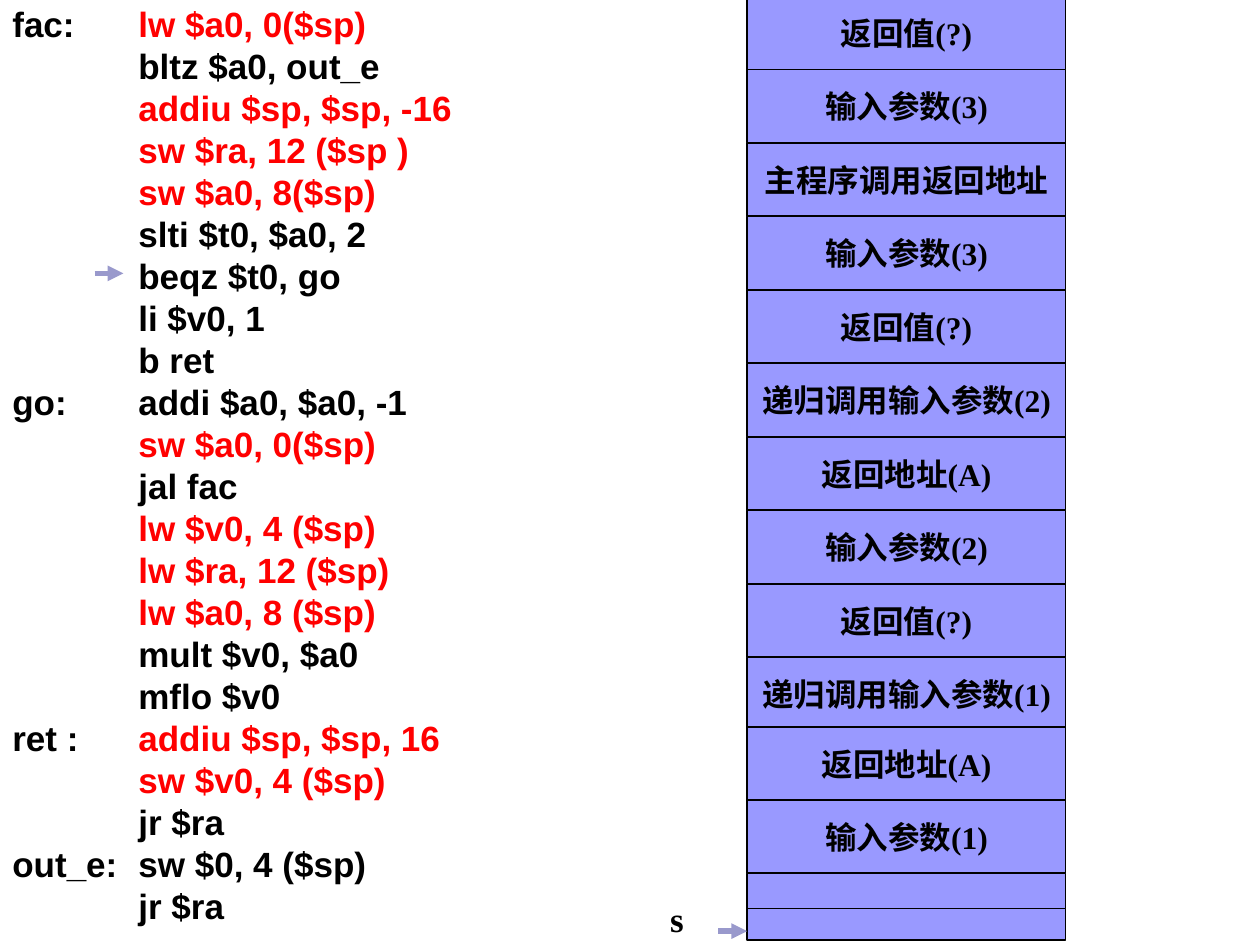
from dataclasses import dataclass

from lxml.etree import SubElement
from pptx import Presentation
from pptx.dml.color import RGBColor as RGB
from pptx.enum.shapes import MSO_CONNECTOR as Conn, MSO_SHAPE as Shape
from pptx.enum.text import MSO_ANCHOR as Anchor, PP_ALIGN as Align
from pptx.oxml.ns import qn
from pptx.util import Inches, Pt


@dataclass(frozen=True)
class Theme:
    ink: RGB = RGB(0, 0, 0)
    accent: RGB = RGB(255, 0, 0)
    cell: RGB = RGB(0x99, 0x99, 0xFF)
    arrow: RGB = RGB(0x99, 0x99, 0xCC)
    code_font: str = "Arial"
    stack_font: str = "Times New Roman"
    code_size: int = 20
    cell_size: int = 18
    leading: int = 24


@dataclass(frozen=True)
class Instr:
    text: str
    label: str = ""
    red: bool = False


@dataclass(frozen=True)
class Band:
    top: float
    pitch: float
    height: float
    labels: tuple[str, ...]


T = Theme()
STACK_LEFT, STACK_WIDTH = 5.93, 2.53
ARROW_LENGTH = 0.23
CODE_TAB = 1

CODE = [
    Instr("lw $a0, 0($sp)", "fac:", True),
    Instr("bltz $a0, out_e"),
    Instr("addiu $sp, $sp, -16", red=True),
    Instr("sw $ra, 12 ($sp )", red=True),
    Instr("sw $a0, 8($sp)", red=True),
    Instr("slti $t0, $a0, 2"),
    Instr("beqz $t0, go"),
    Instr("li $v0, 1"),
    Instr("b ret"),
    Instr("addi $a0, $a0, -1", "go:"),
    Instr("sw $a0, 0($sp)", red=True),
    Instr("jal fac"),
    Instr("lw $v0, 4 ($sp)", red=True),
    Instr("lw $ra, 12 ($sp)", red=True),
    Instr("lw $a0, 8 ($sp)", red=True),
    Instr("mult $v0, $a0"),
    Instr("mflo $v0"),
    Instr("addiu $sp, $sp, 16", "ret :", True),
    Instr("sw $v0, 4 ($sp)", red=True),
    Instr("jr $ra"),
    Instr("sw $0, 4 ($sp)", "out_e:"),
    Instr("jr $ra"),
]

STACK = [
    Band(-0.03, 0.583, 0.58, (
        "返回值(?)", "输入参数(3)", "主程序调用返回地址", "输入参数(3)",
        "返回值(?)", "递归调用输入参数(2)", "返回地址(A)", "输入参数(2)",
        "返回值(?)", "递归调用输入参数(1)")),
    Band(5.77, 0.58, 0.58, ("返回地址(A)", "输入参数(1)")),
    Band(6.93, 0.28, 0.28, ("",)),
    Band(7.21, 0.25, 0.25, ("",)),
]


def add_run(p, text: str, *, font: str, size: int, color: RGB = T.ink) -> None:
    r = p.add_run()
    r.text = text
    r.font.name, r.font.size, r.font.bold = font, Pt(size), True
    r.font.color.rgb = color


def add_box(shapes, x: float, y: float, w: float, h: float, *, wrap: bool):
    tf = shapes.add_textbox(*map(Inches, (x, y, w, h))).text_frame
    tf.word_wrap = wrap
    return tf


def set_tab(p, x: float) -> None:
    tabs = SubElement(p._p.get_or_add_pPr(), qn("a:tabLst"))
    SubElement(tabs, qn("a:tab"), pos=str(Inches(x)), algn="l")


def add_code(shapes) -> None:
    tf = add_box(shapes, 0, -0.03, 4.37, 7.51, wrap=True)
    for i, line in enumerate(CODE):
        p = tf.add_paragraph() if i else tf.paragraphs[0]
        p.line_spacing = Pt(T.leading)
        set_tab(p, CODE_TAB)
        add_run(p, line.label + "\t", font=T.code_font, size=T.code_size)
        add_run(p, line.text, font=T.code_font, size=T.code_size,
                color=T.accent if line.red else T.ink)


def add_cell(shapes, y: float, h: float, label: str) -> None:
    sp = shapes.add_shape(Shape.RECTANGLE, *map(Inches, (STACK_LEFT, y, STACK_WIDTH, h)))
    sp.shadow.inherit = False
    sp.fill.solid()
    sp.fill.fore_color.rgb = T.cell
    sp.line.color.rgb, sp.line.width = T.ink, Pt(0.75)
    if label:
        tf = sp.text_frame
        tf.word_wrap, tf.vertical_anchor = False, Anchor.MIDDLE
        p = tf.paragraphs[0]
        p.alignment = Align.CENTER
        add_run(p, label, font=T.stack_font, size=T.cell_size)


def add_arrow(shapes, x: float, y: float) -> None:
    sp = shapes.add_connector(Conn.STRAIGHT, *map(Inches, (x, y, x + ARROW_LENGTH, y)))
    sp.line.color.rgb, sp.line.width = T.arrow, Pt(3)
    SubElement(sp.line._get_or_add_ln(), qn("a:tailEnd"), type="triangle")
    SubElement(sp._element.spPr, qn("a:effectLst"))


def add_stack_pointer(shapes) -> None:
    group = shapes.add_group_shape().shapes
    add_arrow(group, STACK_LEFT - ARROW_LENGTH, 7.39)
    tf = add_box(group, 5.22, 7.07, 0.33, 0.46, wrap=True)
    add_run(tf.paragraphs[0], "s", font=T.stack_font, size=T.code_size)


def main() -> None:
    prs = Presentation()
    prs.slide_width, prs.slide_height = Inches(10), Inches(7.5)
    s = prs.slides.add_slide(prs.slide_layouts[6])
    add_code(s.shapes)
    for band in STACK:
        for i, label in enumerate(band.labels):
            add_cell(s.shapes, band.top + i * band.pitch, band.height, label)
    add_stack_pointer(s.shapes)
    add_arrow(s.shapes, 0.75, 2.17)
    prs.save("out.pptx")


if __name__ == "__main__":
    main()
